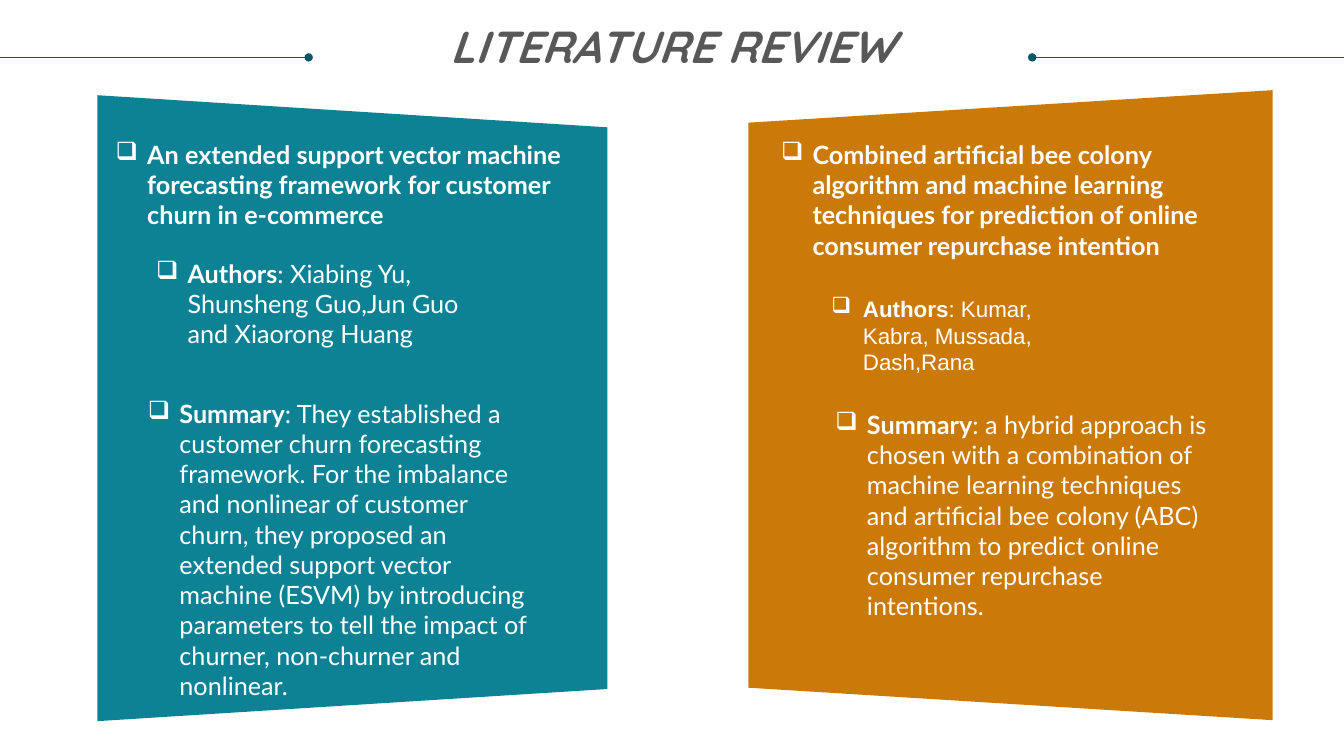
from lxml.etree import SubElement
from pptx import Presentation
from pptx.dml.color import RGBColor
from pptx.enum.shapes import MSO_CONNECTOR, MSO_SHAPE
from pptx.enum.text import MSO_ANCHOR, MSO_AUTO_SIZE, PP_ALIGN
from pptx.oxml.ns import qn
from pptx.util import Pt

COLORS = {"teal": "0D8295", "orange": "CB7A09", "rule": "085764",
          "title": "585858", "text": "FFFFFF"}
SLIDE_W, SLIDE_H = 960, 540
TITLE = "LITERATURE REVIEW"
TITLE_BOX = (18, 18, 924, 65.5)
RULE_Y = 41
RULES = [(0, 220.5), (SLIDE_W, 737.3)]  # slide edge, dotted end
HANG = 22.5

# Panel frames are given before rotation; the narrow side faces the slide centre.
PAPERS = [
    {"fill": "teal", "frame": (28.1, 109.4, 447.1, 364.3), "rotation": 90, "slant": 0.063,
     "entries": [
         {"box": (75.6, 95.8, 341.3, 72.7),
          "bold": "An extended support vector machine forecasting framework "
                  "for customer churn in e-commerce"},
         {"box": (104.4, 180.7, 232.6, 72.7), "bold": "Authors",
          "plain": ": Xiabing Yu, Shunsheng Guo,Jun Guo and Xiaorong Huang"},
         {"box": (98.6, 280.8, 295.9, 203.8), "bold": "Summary",
          "plain": ": They established a customer churn forecasting framework. For the "
                   "imbalance and nonlinear of customer churn, they proposed an extended "
                   "support vector machine (ESVM) by introducing parameters to tell the "
                   "impact of churner, non-churner and nonlinear."},
     ]},
    {"fill": "orange", "frame": (496.8, 102.2, 450, 374.4), "rotation": 270, "slant": 0.062,
     "entries": [
         {"box": (550.8, 95.8, 339.8, 94.3),
          "bold": "Combined artificial bee colony algorithm and machine learning "
                  "techniques for prediction of online consumer repurchase intention"},
         {"box": (550.8, 206.6, 223.9, 65.5), "bold": "Authors",
          "plain": ": Kumar, Kabra, Mussada, Dash,Rana",
          "font": "Arial", "size": 16, "level": 1, "indent": 58.5,
          "anchor": MSO_ANCHOR.MIDDLE},
         {"box": (589.7, 288.7, 284.4, 138.2), "bold": "Summary",
          "plain": ": a hybrid approach is chosen with a combination of machine learning "
                   "techniques and artificial bee colony (ABC) algorithm to predict online "
                   "consumer repurchase intentions."},
     ]},
]


def rgb(name):
    return RGBColor.from_string(COLORS[name])


def points(values):
    return [Pt(value) for value in values]


def add_run(paragraph, text, font, size, color, bold, italic=False):
    run = paragraph.add_run()
    run.text = text
    run.font.name, run.font.size = font, Pt(size)
    run.font.bold, run.font.italic = bold, italic
    run.font.color.rgb = rgb(color)


def add_title(slide):
    title = slide.shapes.title
    title.left, title.top, title.width, title.height = points(TITLE_BOX)
    frame = title.text_frame
    frame.margin_left = frame.margin_top = frame.margin_right = frame.margin_bottom = 0
    frame.vertical_anchor = MSO_ANCHOR.TOP
    heading = frame.paragraphs[0]
    heading.alignment, heading.line_spacing = PP_ALIGN.CENTER, 0.9
    add_run(heading, TITLE, "Quicksand", 32, "title", True, True)


def add_rule(slide, edge, dot):
    rule = slide.shapes.add_connector(
        MSO_CONNECTOR.STRAIGHT, *points((edge, RULE_Y, dot, RULE_Y)))
    rule.line.color.rgb, rule.line.width = rgb("rule"), Pt(0.5)
    SubElement(rule.line._get_or_add_ln(), qn("a:tailEnd"), type="oval")
    SubElement(rule._element.spPr, qn("a:effectLst"))


def add_panel(slide, paper):
    panel = slide.shapes.add_shape(MSO_SHAPE.TRAPEZOID, *points(paper["frame"]))
    panel.rotation = paper["rotation"]
    panel.adjustments[0] = paper["slant"]
    panel.shadow.inherit = False
    panel.fill.solid()
    panel.fill.fore_color.rgb = rgb(paper["fill"])
    panel.line.fill.background()


def add_entry(slide, entry):
    frame = slide.shapes.add_textbox(*points(entry["box"])).text_frame
    frame.word_wrap = True
    frame.auto_size = MSO_AUTO_SIZE.SHAPE_TO_FIT_TEXT
    frame.vertical_anchor = entry.get("anchor", MSO_ANCHOR.TOP)
    paragraph = frame.paragraphs[0]
    paragraph.level = entry.get("level", 0)
    props = paragraph._p.get_or_add_pPr()
    props.set("marL", str(Pt(entry.get("indent", HANG))))
    props.set("indent", str(-Pt(HANG)))
    SubElement(props, qn("a:buChar"), char="❑")
    for part, bold in (("bold", True), ("plain", False)):
        if part in entry:
            add_run(paragraph, entry[part], entry.get("font", "Lato"),
                    entry.get("size", 18), "text", bold)


def main():
    deck = Presentation()
    deck.slide_width, deck.slide_height = points((SLIDE_W, SLIDE_H))
    slide = deck.slides.add_slide(deck.slide_layouts[5])
    add_title(slide)
    for edge, dot in RULES:
        add_rule(slide, edge, dot)
    for paper in PAPERS:
        add_panel(slide, paper)
        for entry in paper["entries"]:
            add_entry(slide, entry)
    deck.save("out.pptx")


if __name__ == "__main__":
    main()
